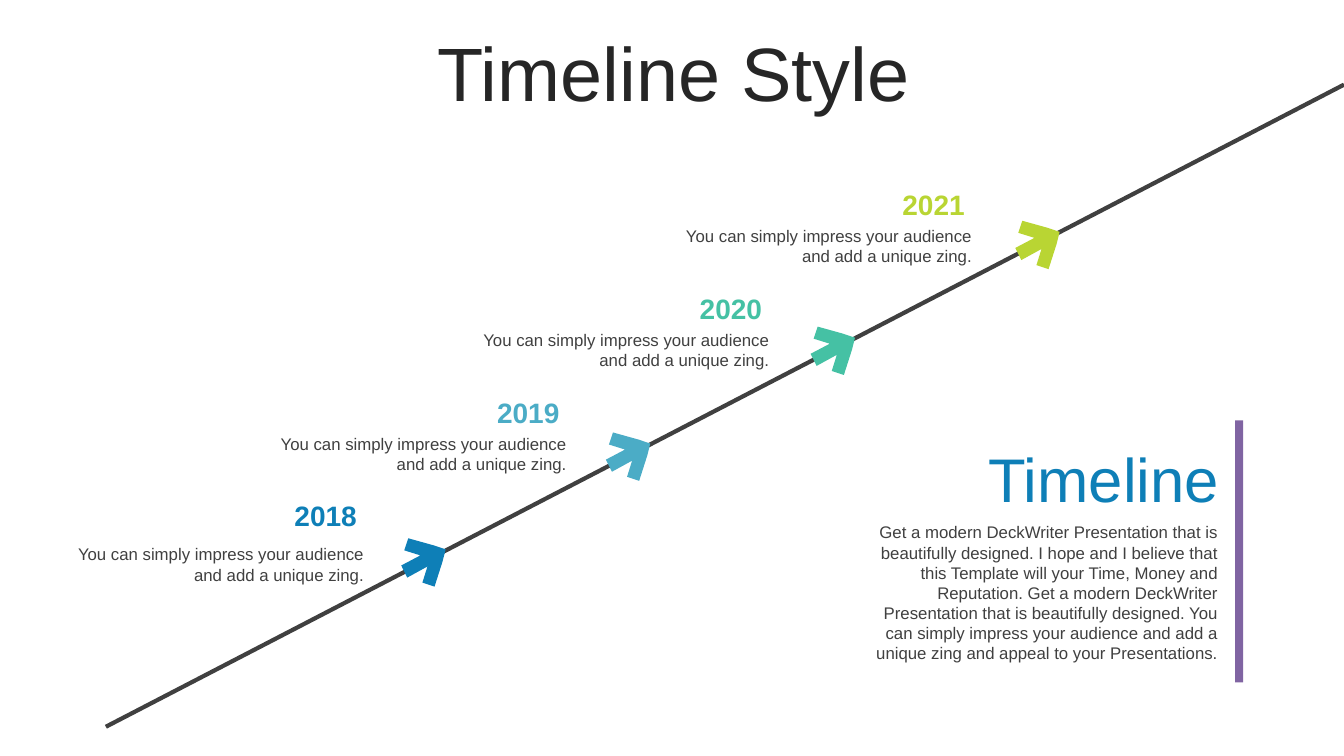
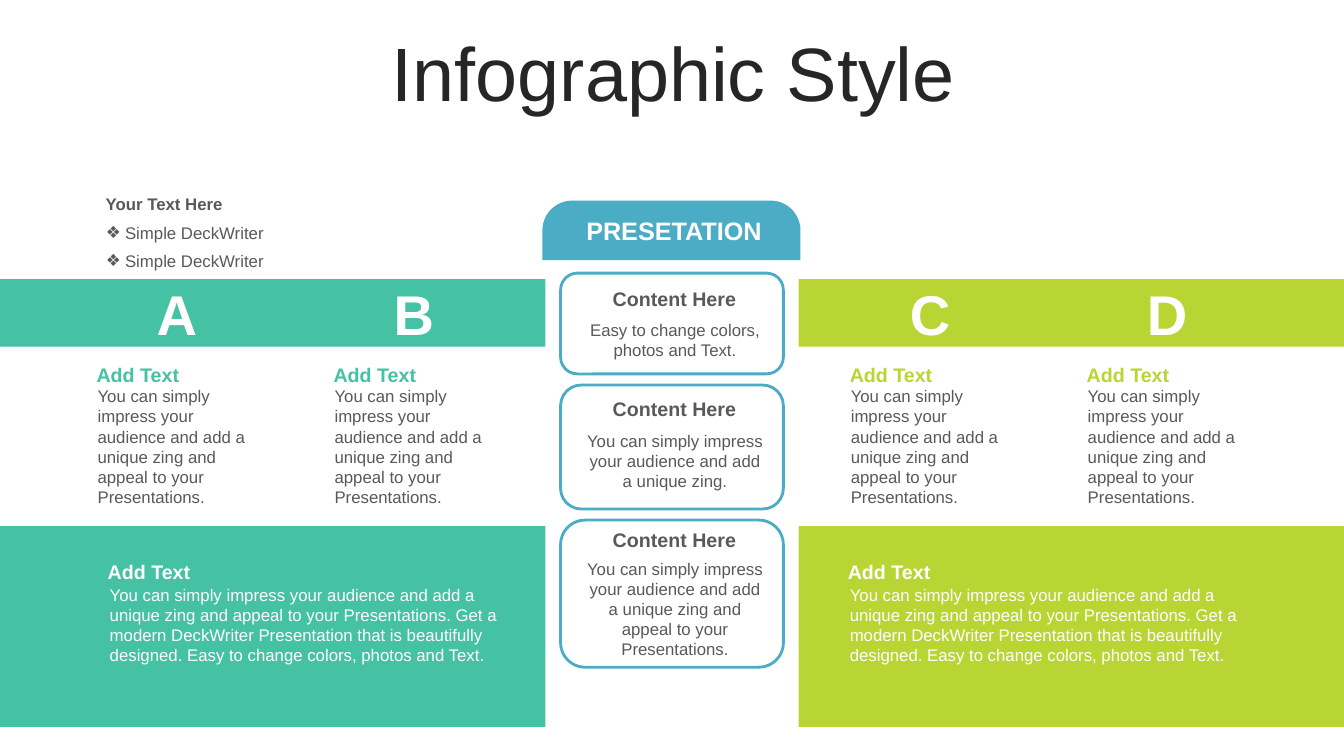
"""Build a diagonal timeline slide and a four-column infographic slide."""
import pptx
import pptx.util
import pptx.dml.color
import pptx.enum.shapes
import pptx.enum.text
import pptx.oxml.ns
from lxml import etree

RGBColor = pptx.dml.color.RGBColor
BLUE = RGBColor(0x0E, 0x7F, 0xB7)
SKY = RGBColor(0x4B, 0xAC, 0xC6)
TEAL = RGBColor(0x45, 0xC1, 0xA4)
LIME = RGBColor(0xB9, 0xD5, 0x33)
PURPLE = RGBColor(0x80, 0x64, 0xA2)
WHITE = RGBColor(0xFF, 0xFF, 0xFF)
INK = RGBColor(0x26, 0x26, 0x26)
DARK = RGBColor(0x40, 0x40, 0x40)
GREY = RGBColor(0x59, 0x59, 0x59)

FONT = "Arial"
PX = 9144
SLIDE_W, SLIDE_H = 1333, 750
SHAPES = pptx.enum.shapes.MSO_SHAPE
LEFT = pptx.enum.text.PP_ALIGN.LEFT
CENTER = pptx.enum.text.PP_ALIGN.CENTER
RIGHT = pptx.enum.text.PP_ALIGN.RIGHT
TITLE_ONLY, TITLE_AND_CONTENT = 5, 1

IMPRESS = "You can simply impress your audience and add a unique zing"
APPEAL = f"{IMPRESS} and appeal to your Presentations."
MODERN = "Get a modern DeckWriter Presentation that is beautifully designed."

MILESTONES = [("2018", BLUE, 45), ("2019", SKY, 38), ("2020", TEAL, 38), ("2021", LIME, 38)]
ARROW = [(0, 0), (25, 7), (37, 11), (34, 23), (26, 48), (14, 44),
         (19, 28), (-1, 39), (-7, 27), (12, 17), (-4, 12)]
SUMMARY = (f"{MODERN} I hope and I believe that this Template will your Time, Money and "
           f"Reputation. {MODERN} {APPEAL}")

SIDES = [
    {"left": 0, "colour": TEAL, "letters": "AB", "columns": 86, "footer": 97, "footer_w": 426},
    {"left": 792, "colour": LIME, "letters": "CD", "columns": 833, "footer": 831, "footer_w": 405},
]
SIDE_W, COLUMN_STEP = 541, 235
FOOTER = f"{APPEAL} {MODERN} Easy to change colors, photos and Text."
CARDS = [
    (100, 9, 41, "Easy to change colors, photos and Text."),
    (123, 7, 40, f"{IMPRESS}."),
    (146, 3, 33, APPEAL),
]
CARD_TOP, CARD_GAP = 271, 11
BULLETS = ["Simple DeckWriter", "Simple DeckWriter"]


def box(*lengths):
    return [round(length * PX) for length in lengths]


def write(paragraph, text, size, colour, bold=False, align=LEFT):
    paragraph.alignment = align
    run = paragraph.add_run()
    run.text = text
    run.font.name = FONT
    run.font.size = pptx.util.Pt(size)
    run.font.bold = bold
    run.font.color.rgb = colour


def add_text(slide, place, text, size, colour, bold=False, align=LEFT):
    frame = slide.shapes.add_textbox(*box(*place)).text_frame
    frame.word_wrap = True
    write(frame.paragraphs[0], text, size, colour, bold, align)


def finish(shape, fill=None, outline=None):
    shape.shadow.inherit = False
    if fill is None:
        shape.fill.background()
    else:
        shape.fill.solid()
        shape.fill.fore_color.rgb = fill
    if outline is None:
        shape.line.fill.background()
    else:
        shape.line.color.rgb = outline
        shape.line.width = pptx.util.Pt(2)


def add_block(slide, preset, place, fill=None, outline=None):
    block = slide.shapes.add_shape(preset, *box(*place))
    finish(block, fill, outline)
    return block


def move(placeholder, place):
    placeholder.left, placeholder.top, placeholder.width, placeholder.height = box(*place)
    frame = placeholder.text_frame
    frame.word_wrap = True
    frame.auto_size = pptx.enum.text.MSO_AUTO_SIZE.NONE
    return frame


def start_slide(deck, layout, heading):
    slide = deck.slides.add_slide(deck.slide_layouts[layout])
    frame = move(slide.shapes.title, (35, 37, 1266, 79))
    frame.vertical_anchor = pptx.enum.text.MSO_ANCHOR.MIDDLE
    paragraph = frame.paragraphs[0]
    paragraph.line_spacing = 0.9
    write(paragraph, heading, 54, INK, align=CENTER)
    return slide


def add_entry(slide, left, top, width, colour, text, text_colour, indent, drop):
    add_text(slide, (left, top, width, 34), "Add Text", 14, colour, True)
    add_text(slide, (left + indent, top + drop, width, 131 if drop == 23 else 91),
             text, 12, text_colour)


def build_timeline(deck):
    slide = start_slide(deck, TITLE_ONLY, "Timeline Style")
    route = slide.shapes.add_connector(
        pptx.enum.shapes.MSO_CONNECTOR.STRAIGHT, *box(SLIDE_W, 84, 105, 721))
    route.line.color.rgb = DARK
    route.line.width = pptx.util.Pt(3)
    etree.SubElement(route._element.spPr, pptx.oxml.ns.qn("a:effectLst"))

    for i, (year, colour, drop) in enumerate(MILESTONES):
        x, y = 405 + 203 * i, 534 - 105 * i
        outline = [(x + dx, y + dy) for dx, dy in ARROW]
        builder = slide.shapes.build_freeform(*outline[0], scale=PX)
        builder.add_line_segments(outline[1:], close=True)
        finish(builder.convert_to_shape(), colour)

        left, top = 65 + 201 * i, 490 - 103 * i
        add_text(slide, (left + 210, top, 96, 44), year, 20, colour, True, CENTER)
        add_text(slide, (left, top + drop, 306, 50), f"{IMPRESS}.", 12, DARK, align=RIGHT)

    add_block(slide, SHAPES.RECTANGLE, (1225, 417, 8, 260), PURPLE)
    add_text(slide, (934, 432, 285, 82), "Timeline", 44, BLUE, align=RIGHT)
    add_text(slide, (841, 513, 377, 151), SUMMARY, 12, DARK, align=RIGHT)


def add_bullets(slide):
    frame = move(slide.placeholders[1], (95, 216, 191, 57))
    for i, item in enumerate(BULLETS):
        paragraph = frame.add_paragraph() if i else frame.paragraphs[0]
        paragraph.space_before = pptx.util.Pt(0)
        paragraph.space_after = pptx.util.Pt(5.6)
        write(paragraph, item, 12, GREY)
        props = paragraph._p.get_or_add_pPr()
        props.set("marL", str(19 * PX))
        props.set("indent", str(-19 * PX))
        etree.SubElement(props, pptx.oxml.ns.qn("a:buFont"), typeface=FONT)
        etree.SubElement(props, pptx.oxml.ns.qn("a:buChar"), char="❖")


def build_infographic(deck):
    slide = start_slide(deck, TITLE_AND_CONTENT, "Infographic Style")
    for side in SIDES:
        colour = side["colour"]
        for top, height in ((277, 67), (522, 199)):
            add_block(slide, SHAPES.RECTANGLE, (side["left"], top, SIDE_W, height), colour)
        for i, letter in enumerate(side["letters"]):
            left = side["columns"] + COLUMN_STEP * i
            add_text(slide, (left + 58, 272, 63, 77), letter, 40, WHITE, True, CENTER)
            add_entry(slide, left, 355, 177, colour, APPEAL, GREY, 1, 23)
        add_entry(slide, side["footer"], 551, side["footer_w"], WHITE, FOOTER, WHITE, 2, 24)

    banner = add_block(slide, SHAPES.ROUND_2_SAME_RECTANGLE, (538, 199, 256, 59), SKY)
    banner.adjustments[0] = 0.5
    banner.adjustments[1] = 0
    add_text(slide, (561, 209, 215, 40), "PRESETATION", 18, WHITE, True, CENTER)

    top = CARD_TOP
    for height, heading_drop, text_drop, text in CARDS:
        add_block(slide, SHAPES.ROUNDED_RECTANGLE, (556, top, 221, height), outline=SKY)
        add_text(slide, (571, top + heading_drop, 196, 34), "Content Here", 14, GREY, True, CENTER)
        add_text(slide, (572, top + text_drop, 195, height - text_drop), text, 12, GREY,
                 align=CENTER)
        top += height + CARD_GAP

    add_text(slide, (95, 187, 191, 30), "Your Text Here", 12, GREY, True)
    add_bullets(slide)


def main():
    deck = pptx.Presentation()
    deck.slide_width, deck.slide_height = box(SLIDE_W, SLIDE_H)
    build_timeline(deck)
    build_infographic(deck)
    deck.save("out.pptx")


if __name__ == "__main__":
    main()
